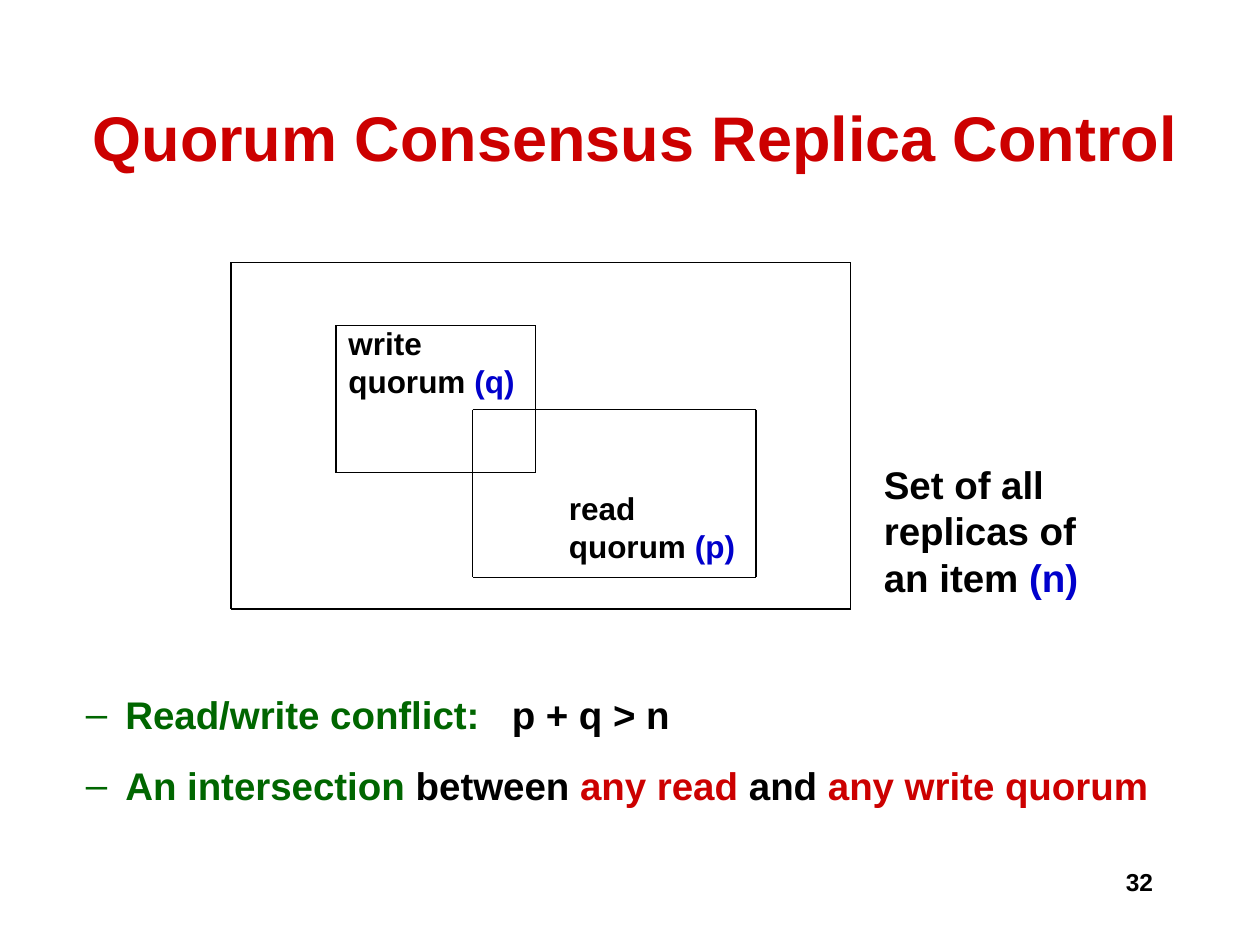
"""Build the slide on quorum consensus replica control."""
from lxml.etree import SubElement
from pptx import Presentation
from pptx.dml.color import RGBColor
from pptx.enum.shapes import MSO_CONNECTOR
from pptx.enum.text import MSO_ANCHOR, MSO_AUTO_SIZE, PP_ALIGN
from pptx.oxml.ns import qn
from pptx.util import Pt

BLACK = RGBColor(0x00, 0x00, 0x00)
RED = RGBColor(0xCC, 0x00, 0x00)
BLUE = RGBColor(0x00, 0x00, 0xCC)
GREEN = RGBColor(0x00, 0x66, 0x00)


class Deck:
    """Hold the style and the current slide."""

    def __init__(self):
        self.prs = Presentation()
        self.prs.slide_width, self.prs.slide_height = Pt(720), Pt(540)
        self.font = {"name": "Arial", "bold": True}
        self.slide = None

    def add_slide(self):
        self.slide = self.prs.slides.add_slide(self.prs.slide_layouts[5])

    def fill_text(self, tf, lines, size, align=PP_ALIGN.LEFT):
        for i, line in enumerate(lines):
            p = tf.add_paragraph() if i else tf.paragraphs[0]
            p.alignment = align
            for text, color in line:
                r = p.add_run()
                r.text = text
                for key, value in {**self.font, "size": Pt(size)}.items():
                    setattr(r.font, key, value)
                r.font.color.rgb = color

    def title(self, box, text):
        sp = self.slide.shapes.title
        sp.left, sp.top, sp.width, sp.height = map(Pt, box)
        tf = sp.text_frame
        fmt = {"word_wrap": True, "auto_size": MSO_AUTO_SIZE.NONE,
               "vertical_anchor": MSO_ANCHOR.MIDDLE}
        for key, value in fmt.items():
            setattr(tf, key, value)
        self.fill_text(tf, [[(text, RED)]], 36, PP_ALIGN.CENTER)

    def text(self, box, lines, size, align=PP_ALIGN.LEFT, wrap=False):
        tf = self.slide.shapes.add_textbox(*map(Pt, box)).text_frame
        tf.word_wrap = wrap
        self.fill_text(tf, lines, size, align)
        return tf

    def bullets(self, box, lines, size, indent=22.5, gap=14):
        tf = self.text(box, lines, size, wrap=True)
        for i, p in enumerate(tf.paragraphs):
            pPr = p._p.get_or_add_pPr()
            pPr.set("marL", str(Pt(indent)))
            pPr.set("indent", str(-Pt(indent)))
            clr = SubElement(pPr, qn("a:buClr"))
            SubElement(clr, qn("a:srgbClr"), val=str(GREEN))
            SubElement(pPr, qn("a:buFont"), typeface=self.font["name"])
            SubElement(pPr, qn("a:buChar"), char="–")
            p.space_before = Pt(gap if i else 0)
        return tf

    def line(self, x1, y1, x2, y2):
        s = self.slide.shapes.add_connector(
            MSO_CONNECTOR.STRAIGHT, Pt(x1), Pt(y1), Pt(x2), Pt(y2))
        s.line.color.rgb = BLACK
        s.line.width = Pt(0.75)
        SubElement(s._element.spPr, qn("a:effectLst"))

    def frame(self, left, top, right, bottom):
        for x in (left, right):
            self.line(x, top, x, bottom)
        for y in (top, bottom):
            self.line(left, y, right, y)


def main():
    deck = Deck()
    deck.add_slide()
    deck.title((42, 42, 642, 72), "Quorum Consensus Replica Control")
    deck.text((516, 492, 150, 36), [[("32", BLACK)]], 14, PP_ALIGN.RIGHT, True)

    for sides in ((132, 150, 486, 348), (192, 186, 306, 270), (270, 234, 432, 330)):
        deck.frame(*sides)
    for name, symbol, left, top in (("read", "(p)", 318, 276), ("write", "(q)", 192, 181.5)):
        deck.text((left, top, 109.5, 50.5),
                  [[(name, BLACK)], [("quorum ", BLACK), (symbol, BLUE)]], 18)
    deck.text((498, 260, 125.5, 86.5),
              [[("Set of all", BLACK)], [("replicas of", BLACK)],
               [("an item ", BLACK), ("(n)", BLUE)]], 22)

    tf = deck.bullets((42, 391.5, 636, 74), [
        [("Read/write conflict:", GREEN), (" ", GREEN), ("p + q > n", BLACK)],
        [("An intersection", GREEN), (" between ", BLACK), ("any read", RED),
         (" and ", BLACK), ("any write quorum", RED)],
    ], 22)
    tf.paragraphs[0].runs[1]._r.get_or_add_rPr().set("spc", "1220")
    deck.prs.save("out.pptx")


if __name__ == "__main__":
    main()
